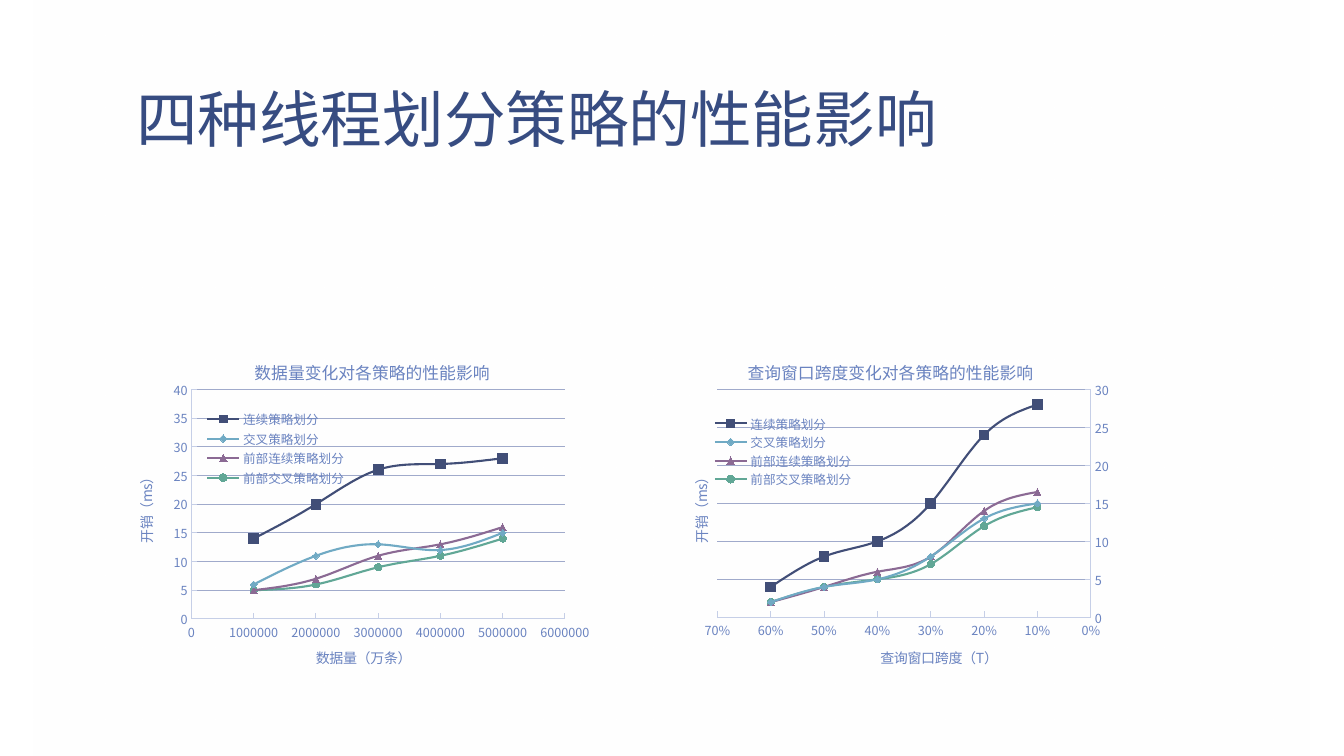
from lxml import etree
from pptx import Presentation
from pptx import util as u
from pptx.chart import data
from pptx.dml.color import RGBColor
from pptx.enum import chart as ch, shapes, text
from pptx.oxml import ns

FONT = "Noto Sans CJK SC"
WHITE = RGBColor(0xFF, 0xFF, 0xFF)
TITLE_BLUE = RGBColor(0x37, 0x4C, 0x81)
LABEL_BLUE = RGBColor(0x6A, 0x83, 0xC0)
AXIS = RGBColor(0xC6, 0xCF, 0xE7)
GRID = RGBColor(0xA0, 0xAA, 0xCB)
MARKER = ch.XL_MARKER_STYLE
STRATEGIES = [
    ("连续策略划分", RGBColor(0x41, 0x4E, 0x77), MARKER.SQUARE, 7),
    ("交叉策略划分", RGBColor(0x70, 0xAA, 0xC4), MARKER.DIAMOND, 5),
    ("前部连续策略划分", RGBColor(0x8B, 0x6A, 0x94), MARKER.TRIANGLE, 5),
    ("前部交叉策略划分", RGBColor(0x61, 0xA7, 0x96), MARKER.CIRCLE, 5),
]


class StrategySlide:
    """Draws the panel, heading and strategy charts of one slide in a shared style."""

    def __init__(self, slide):
        self.slide = slide

    def style(self, font, size, color=LABEL_BLUE):
        font.name, font.size, font.bold = FONT, u.Pt(size), False
        font.color.rgb = color

    def east_asian(self, element):
        for latin in list(element.iter(ns.qn("a:latin"))):
            ea = etree.Element(ns.qn("a:ea"), typeface=FONT)
            latin.addnext(ea)

    def place(self, element, inner=False, **fractions):
        for old in element.findall(ns.qn("c:layout")):
            element.remove(old)
        layout = etree.Element(ns.qn("c:layout"))
        manual = etree.SubElement(layout, ns.qn("c:manualLayout"))
        settings = [("layoutTarget", "inner")] if inner else []
        settings += [("xMode", "edge"), ("yMode", "edge"), *fractions.items()]
        for tag, value in settings:
            etree.SubElement(manual, ns.qn("c:" + tag), val=str(value))
        overlay = element.find(ns.qn("c:overlay"))
        if overlay is None:
            element.insert(0, layout)
        else:
            overlay.addprevious(layout)

    def panel(self, left, top, width, height):
        panel = self.slide.shapes.add_shape(
            shapes.MSO_SHAPE.RECTANGLE, *map(u.Pt, (left, top, width, height)))
        panel.shadow.inherit = False
        panel.line.fill.background()
        panel.fill.gradient()
        panel.fill.gradient_angle = 230
        for stop in panel.fill.gradient_stops:
            stop.color.rgb = WHITE
        opacities = ("100000", "55000")
        for color, opacity in zip(panel.element.iter(ns.qn("a:srgbClr")), opacities):
            etree.SubElement(color, ns.qn("a:alpha"), val=opacity)

    def heading(self, words, left, top, width, height):
        box = self.slide.shapes.add_textbox(*map(u.Pt, (left, top, width, height)))
        frame = box.text_frame
        frame.word_wrap = True
        frame.vertical_anchor = text.MSO_ANCHOR.BOTTOM
        frame.margin_left = frame.margin_right = u.Pt(9.36)
        frame.margin_top = frame.margin_bottom = u.Pt(5.04)
        frame.text = words
        line = frame.paragraphs[0]
        line.line_spacing = 0.85
        self.style(line.runs[0].font, 44, TITLE_BLUE)
        self.east_asian(box.element)

    def caption(self, title, words, size, x, y):
        title.text_frame.text = words
        self.style(title.text_frame.paragraphs[0].runs[0].font, size)
        self.place(title.element, x=x, y=y)

    def axis(self, axis, name, spot, top, step, number_format):
        axis.minimum_scale, axis.maximum_scale, axis.major_unit = 0, top, step
        axis.major_tick_mark = ch.XL_TICK_MARK.INSIDE
        axis.minor_tick_mark = ch.XL_TICK_MARK.NONE
        axis.format.line.color.rgb = AXIS
        axis.format.line.width = u.Pt(0.75)
        axis.tick_labels.number_format = number_format
        axis.tick_labels.number_format_is_linked = False
        self.style(axis.tick_labels.font, 9)
        self.caption(axis.axis_title, name, 10, *spot)

    def chart(self, left, title, title_x, xs, costs, x_axis, y_axis, plot, legend, reverse=False):
        points = data.XyChartData()
        for (name, *_), values in zip(STRATEGIES, costs):
            series = points.add_series(name)
            for x, cost in zip(xs, values):
                series.add_data_point(x, cost)
        chart = self.slide.shapes.add_chart(
            ch.XL_CHART_TYPE.XY_SCATTER_SMOOTH,
            *map(u.Pt, (left, 253.44, 339.84, 226.8)), points).chart
        self.style(chart.font, 10, TITLE_BLUE)
        chart.plots[0].vary_by_categories = False
        for smooth in chart.element.iter(ns.qn("c:smooth")):
            smooth.set("val", "1")
        for series, (_, color, marker, size) in zip(chart.plots[0].series, STRATEGIES):
            series.format.line.color.rgb = color
            series.format.line.width = u.Pt(1.5)
            series.marker.style, series.marker.size = marker, size
            series.marker.format.fill.solid()
            series.marker.format.fill.fore_color.rgb = color
            series.marker.format.line.color.rgb = color

        chart.has_title = True
        self.caption(chart.chart_title, title, 12, title_x, 0)
        self.axis(chart.category_axis, *x_axis)
        self.axis(chart.value_axis, *y_axis)
        chart.category_axis.has_major_gridlines = False
        chart.category_axis.reverse_order = reverse
        chart.value_axis.has_major_gridlines = True
        grid = chart.value_axis.major_gridlines.format.line
        grid.color.rgb, grid.width = GRID, u.Pt(0.75)
        for body in chart.value_axis.axis_title.element.iter(ns.qn("a:bodyPr")):
            body.set("rot", "-5400000")
            body.set("vert", "horz")

        chart.has_legend = True
        chart.legend.position = ch.XL_LEGEND_POSITION.LEFT
        chart.legend.include_in_layout = False
        self.style(chart.legend.font, 9)
        self.place(chart.element.find(".//" + ns.qn("c:legend")), **legend)
        self.place(chart.element.find(".//" + ns.qn("c:plotArea")), inner=True, **plot)
        self.east_asian(chart.element)


def main():
    deck = Presentation()
    deck.slide_width, deck.slide_height = u.Pt(960), u.Pt(540)
    page = StrategySlide(deck.slides.add_slide(deck.slide_layouts[6]))
    page.panel(23.76, 0, 911.52, 540)
    page.heading("四种线程划分策略的性能影响", 87.84, 5.76, 630, 110.16)
    page.chart(
        87.84, "数据量变化对各策略的性能影响", 0.27,
        [n * 1000000 for n in range(1, 6)],
        [(14, 20, 26, 27, 28), (6, 11, 13, 12, 15),
         (5, 7, 11, 13, 16), (5, 6, 9, 11, 14)],
        ("数据量（万条）", (0.4, 0.92), 6000000, 1000000, "General"),
        ("开销（ms）", (0.02, 0.36), 40, 5, "General"),
        dict(x=0.144, y=0.11, w=0.785, h=0.73),
        dict(x=0.166, y=0.17, w=0.31, h=0.255))
    page.chart(
        491.04, "查询窗口跨度变化对各策略的性能影响", 0.12,
        [n / 10 for n in range(1, 7)],
        [(28, 24, 15, 10, 8, 4), (15, 13, 8, 5, 4, 2),
         (16.5, 14, 8, 6, 4, 2), (14.5, 12, 7, 5, 4, 2)],
        ("查询窗口跨度（T）", (0.4, 0.92), 0.7, 0.1, "0%"),
        ("开销（ms）", (0, 0.36), 30, 5, "General"),
        dict(x=0.063, y=0.11, w=0.785, h=0.725),
        dict(x=0.046, y=0.187, w=0.31, h=0.24), reverse=True)
    deck.save("out.pptx")


if __name__ == "__main__":
    main()
